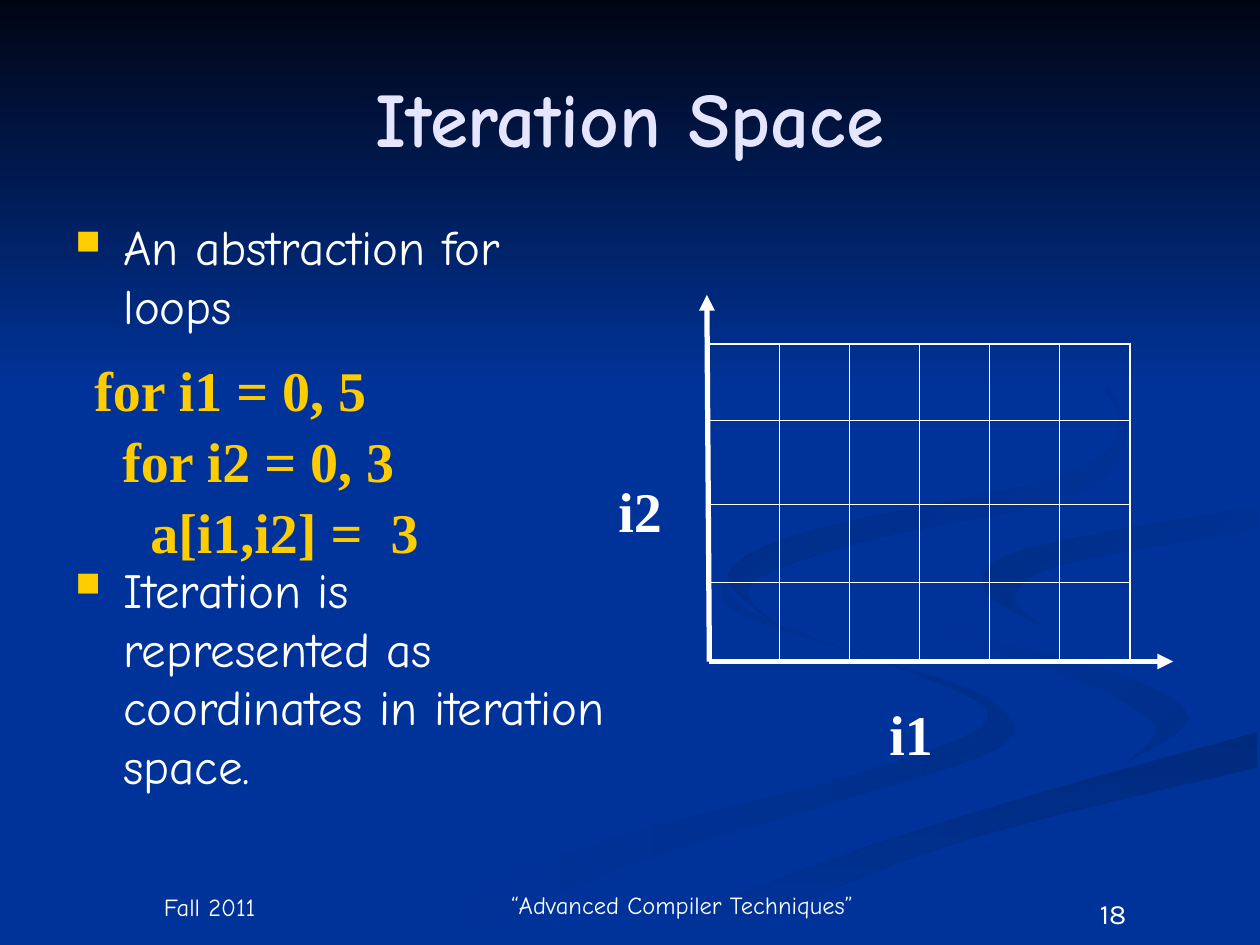
from pptx import Presentation
from pptx.dml.color import RGBColor
from pptx.enum.shapes import MSO_CONNECTOR, MSO_SHAPE
from pptx.enum.text import MSO_ANCHOR, PP_ALIGN
from pptx.oxml.ns import qn
from pptx.util import Inches, Pt
from lxml.etree import SubElement, Element

BLUE = RGBColor(0x00, 0x33, 0x99)
NIGHT = RGBColor(0x00, 0x05, 0x14)
WHITE = RGBColor(0xFF, 0xFF, 0xFF)
GOLD = RGBColor(0xFF, 0xCC, 0x00)
LAVENDER = RGBColor(0xE5, 0xE5, 0xFF)
SHADE_1 = RGBColor(0x00, 0x2E, 0x8B)
SHADE_2 = RGBColor(0x00, 0x2A, 0x7D)
SHADE_3 = RGBColor(0x00, 0x2D, 0x86)
SHADE_4 = RGBColor(0x00, 0x2B, 0x82)
HAND, SANS, SERIF = "Comic Neue", "Karla", "Times New Roman"

# Background ribbons: first colour, last colour, clockwise angle, and the two
# edges between their tips, as key points in inches
RIBBONS = [
    (BLUE, SHADE_1, 0,
     [(5.75, 4.6), (5.94, 4.85), (6.82, 5.19), (7.81, 5.53), (7.95, 5.92), (6.51, 6.4),
      (4.99, 6.87), (3.61, 7.49)],
     [(3, 7.49), (4.58, 6.74), (6.84, 6.13), (7.85, 5.7), (7.14, 5.3), (5.86, 4.87),
      (5.75, 4.6)]),
    (BLUE, SHADE_1, 45,
     [(7.24, 4.64), (7.58, 4.98), (8.88, 5.35), (9.43, 5.7), (8.94, 6.05)],
     [(8.94, 6.05), (9.17, 5.76), (8.54, 5.39), (7.46, 5), (7.24, 4.64)]),
    (SHADE_2, BLUE, 90,
     [(5.03, 7.49), (6.3, 6.93), (7.97, 6.38), (9.98, 5.81)],
     [(9.98, 6.09), (7.85, 6.61), (6.49, 7.1), (5.71, 7.49)]),
    (SHADE_3, BLUE, 45,
     [(8.26, 4.96), (7.82, 4.69), (8.1, 4.37), (9.98, 4.02)],
     [(9.98, 4.2), (8.43, 4.48), (8.05, 4.74), (8.26, 4.96)]),
    (SHADE_4, BLUE, 45,
     [(7.62, 2.33), (8.43, 2.75), (8.93, 3.35), (8.55, 3.91), (6.83, 4.3), (5.94, 4.65),
      (6.22, 5)],
     [(6.22, 5), (5.78, 4.56), (6.49, 4.2), (8.42, 3.78), (8.89, 3.35), (8.46, 2.79),
      (7.62, 2.33)]),
]
STEPS = 5  # straight pieces between two key points


def paint(shape, first, last, angle):
    shape.shadow.inherit = False
    shape.line.fill.background()
    shape.fill.gradient()
    shape.fill.gradient_angle = -angle % 360
    for stop, color in zip(shape.fill.gradient_stops, (first, last)):
        stop.color.rgb = color


def smooth_edge(keys):
    """Catmull-Rom curve through the key points."""
    padded = [keys[0], *keys, keys[-1]]
    points = []
    for a, b, c, d in zip(padded, padded[1:], padded[2:], padded[3:]):
        for step in range(STEPS):
            t = step / STEPS
            points.append(tuple(
                q + t / 2 * (r - p + t * (2 * p - 5 * q + 4 * r - s + t * (3 * (q - r) + s - p)))
                for p, q, r, s in zip(a, b, c, d)))
    return points + [keys[-1]]


def add_ribbon(page, first, last, angle, *edges):
    outline = [tuple(map(Inches, point)) for edge in edges for point in smooth_edge(edge)]
    builder = page.shapes.build_freeform(*outline[0])
    builder.add_line_segments(outline[1:], close=True)
    paint(builder.convert_to_shape(), first, last, angle)


def add_bullet(para):
    props = para._p.get_or_add_pPr()
    props.set("marL", str(Inches(0.38)))
    props.set("indent", str(-Inches(0.38)))
    color = SubElement(props, qn("a:buClr"))
    SubElement(color, qn("a:srgbClr"), val=str(GOLD))
    SubElement(props, qn("a:buSzPct"), val="70000")
    SubElement(props, qn("a:buChar"), char="■")


def add_text(page, place, lines, size, font=HAND, color=WHITE, bold=False,
             align=PP_ALIGN.LEFT, anchor=MSO_ANCHOR.TOP, bullet=False, spacing=None):
    box = page.shapes.add_textbox(*map(Inches, place))
    frame = box.text_frame
    frame.word_wrap = True
    frame.vertical_anchor = anchor
    for index, line in enumerate(lines):
        para = frame.add_paragraph() if index else frame.paragraphs[0]
        para.alignment = align
        if spacing:
            para.line_spacing = spacing
        if bullet:
            add_bullet(para)
        span = para.add_run()
        span.text = line
        span.font.name, span.font.size = font, Pt(size)
        span.font.bold, span.font.color.rgb = bold, color


def set_borders(cell, widths):
    props = cell._tc.get_or_add_tcPr()
    for index, (side, width) in enumerate(zip("LRTB", widths)):
        line = Element(qn(f"a:ln{side}"), w=str(Pt(width)))
        fill = SubElement(line, qn("a:solidFill"))
        SubElement(fill, qn("a:srgbClr"), val=str(WHITE))
        props.insert(index, line)


def add_grid(page, left, top, width, columns, row_heights):
    rows = len(row_heights)
    grid = page.shapes.add_table(rows, columns, Inches(left), Inches(top),
                                 Inches(width), Inches(sum(row_heights))).table
    grid.first_row = grid.horz_banding = False
    for r, height in enumerate(row_heights):
        grid.rows[r].height = Inches(height)
        for c in range(columns):
            cell = grid.cell(r, c)
            cell.fill.background()
            outer = (c == 0, c == columns - 1, r == 0, r == rows - 1)
            set_borders(cell, [1.08 if edge else 0.45 for edge in outer])


def add_axis(page, start, end):
    axis = page.shapes.add_connector(MSO_CONNECTOR.STRAIGHT, *map(Inches, start + end))
    axis.line.color.rgb = WHITE
    axis.line.width = Pt(3)
    SubElement(axis.line._get_or_add_ln(), qn("a:tailEnd"), type="triangle")
    SubElement(axis._element.spPr, qn("a:effectLst"))


def main():
    deck = Presentation()
    deck.slide_width, deck.slide_height = Inches(10), Inches(7.5)
    page = deck.slides.add_slide(deck.slide_layouts[6])

    # Background
    page.background.fill.solid()
    page.background.fill.fore_color.rgb = BLUE
    for ribbon in RIBBONS:
        add_ribbon(page, *ribbon)
    sky = page.shapes.add_shape(MSO_SHAPE.RECTANGLE, 0, 0, Inches(10), Inches(3.08))
    paint(sky, NIGHT, BLUE, 90)

    # Footer
    center, bottom = PP_ALIGN.CENTER, MSO_ANCHOR.BOTTOM
    add_text(page, (8, 7.07, 1.67, 0.4), ["18"], 16, SANS, align=center)
    add_text(page, (0.5, 7, 2.33, 0.36), ["Fall 2011"], 14, align=center, anchor=bottom)
    add_text(page, (3.83, 7, 3.17, 0.35), ["“Advanced Compiler Techniques”"], 14,
             align=center, anchor=bottom)

    # Title, bullets and loop code
    add_text(page, (0.5, 0.3, 9, 1.25), ["Iteration Space"], 44, color=LAVENDER, bold=True,
             align=center, anchor=MSO_ANCHOR.MIDDLE)
    add_text(page, (0.5, 1.67, 4.42, 1.04), ["An abstraction for loops"], 28, bullet=True)
    add_text(page, (0.5, 4.39, 4.42, 2.53),
             ["Iteration is represented as coordinates in iteration space."], 28, bullet=True)
    code = ["for i1 = 0, 5", "  for i2 = 0, 3", "    a[i1,i2] =  3"]
    add_text(page, (0.65, 2.75, 3.08, 1.7), code, 32, SERIF, GOLD, True, spacing=1.05)

    # Iteration grid with its axes
    add_grid(page, 5.63, 2.73, 3.34, 6, [0.61, 0.66, 0.62, 0.62])
    for name, left, top in (("i1", 6.96, 5.48), ("i2", 4.81, 3.71)):
        add_text(page, (left, top, 0.6, 0.64), [name], 32, SERIF, bold=True, spacing=1.05)
    for end in ((9.31, 5.25), (5.61, 2.34)):
        add_axis(page, (5.63, 5.25), end)

    deck.save("out.pptx")


if __name__ == "__main__":
    main()
